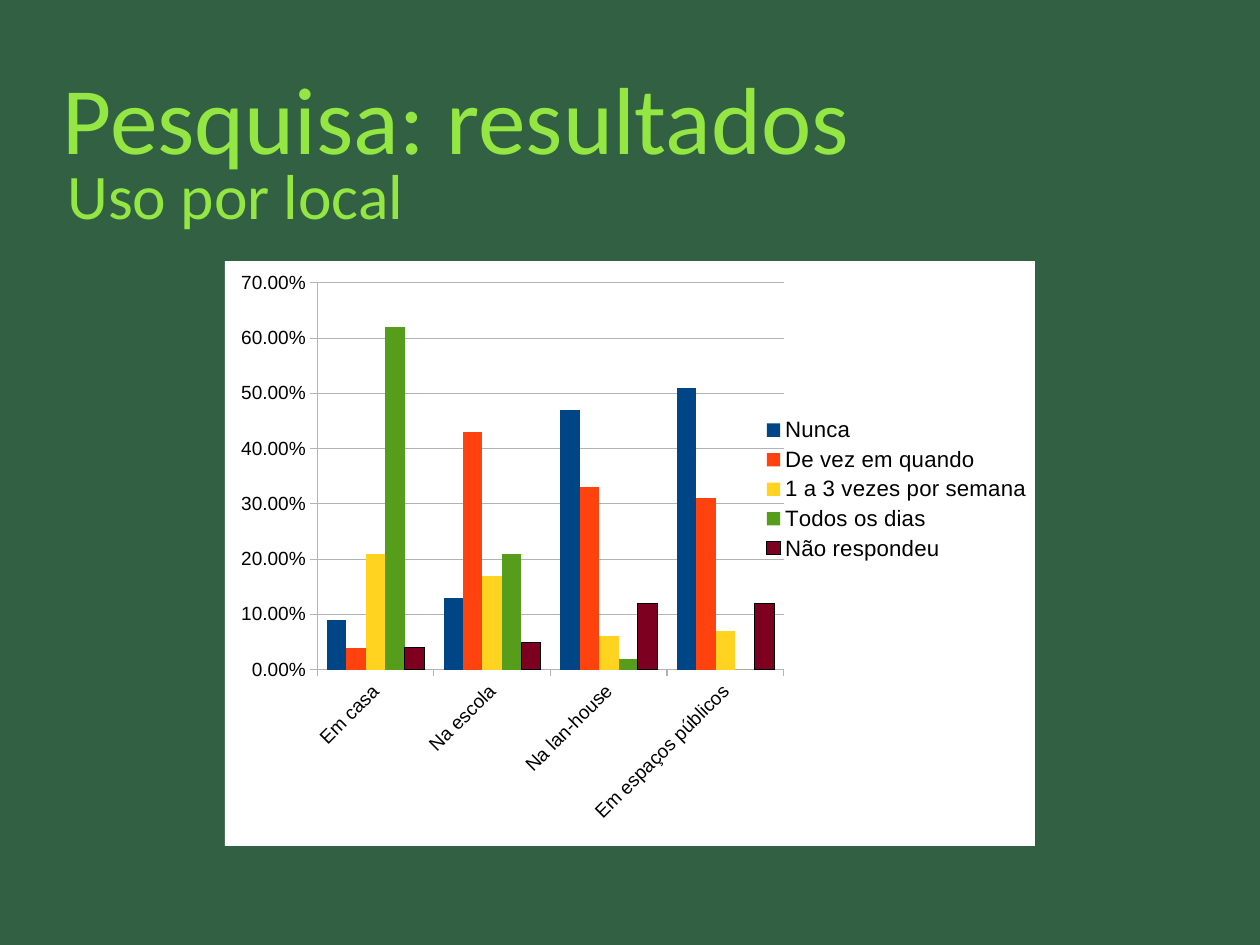
from pptx import Presentation
from pptx import util as u
from pptx.chart.data import CategoryChartData
from pptx.dml.color import RGBColor
from pptx.enum import chart as ch, text
from pptx.oxml import parse_xml
from pptx.oxml.ns import nsdecls, qn

GREEN = RGBColor(0x31, 0x61, 0x42)
LIME = RGBColor(0x94, 0xE7, 0x42)
BLACK = RGBColor(0, 0, 0)
WHITE = RGBColor(0xFF, 0xFF, 0xFF)
GRAY = RGBColor(0xB3, 0xB3, 0xB3)
BLUE = RGBColor(0x00, 0x45, 0x86)
ORANGE = RGBColor(0xFF, 0x42, 0x0E)
YELLOW = RGBColor(0xFF, 0xD3, 0x20)
LEAF = RGBColor(0x57, 0x9D, 0x1C)
WINE = RGBColor(0x7E, 0x00, 0x21)

PLACES = ["Em casa", "Na escola", "Na lan-house", "Em espaços públicos"]
ANSWERS = [
    ("Nunca", (0.09, 0.13, 0.47, 0.51), BLUE),
    ("De vez em quando", (0.04, 0.43, 0.33, 0.31), ORANGE),
    ("1 a 3 vezes por semana", (0.21, 0.17, 0.06, 0.07), YELLOW),
    ("Todos os dias", (0.62, 0.21, 0.02, 0), LEAF),
    ("Não respondeu", (0.04, 0.05, 0.12, 0.12), WINE),
]


class Deck:
    """Holds the style and the current slide, and adds its elements."""

    title_font = "Calibri"
    chart_font = "Arial"

    def __init__(self, prs):
        self.s = prs.slides.add_slide(prs.slide_layouts[6])
        fill = self.s.background.fill
        fill.solid()
        fill.fore_color.rgb = GREEN

    def title(self, words, box, size):
        tf = self.s.shapes.add_textbox(*map(u.Cm, box)).text_frame
        tf.word_wrap = True
        tf.vertical_anchor = text.MSO_ANCHOR.MIDDLE
        tf.margin_left = tf.margin_right = tf.margin_top = tf.margin_bottom = 0
        r = tf.paragraphs[0].add_run()
        r.text = words
        self.font(r.font, self.title_font, size, LIME)

    def font(self, font, name, size, color):
        font.name, font.size, font.color.rgb = name, u.Pt(size), color

    def line(self, line, color):
        line.color.rgb = color
        line.width = u.Pt(0)

    def axis(self, axis):
        axis.major_tick_mark = ch.XL_TICK_MARK.OUTSIDE
        axis.minor_tick_mark = ch.XL_TICK_MARK.NONE
        self.font(axis.tick_labels.font, self.chart_font, 12, BLACK)
        self.line(axis.format.line, GRAY)

    def columns(self, cats, series, box):
        data = CategoryChartData(number_format="0.00%")
        data.categories = cats
        for name, values, _ in series:
            data.add_series(name, values)
        chart = self.s.shapes.add_chart(
            ch.XL_CHART_TYPE.COLUMN_CLUSTERED, *map(u.Cm, box), data).chart
        self.font(chart.font, self.chart_font, 10, BLACK)
        chart.has_title = False
        plot = chart.plots[0]
        plot.gap_width, plot.overlap, plot.vary_by_categories = 100, 0, False
        for ser, (_, _, color) in zip(plot.series, series):
            ser.format.fill.solid()
            ser.format.fill.fore_color.rgb = color
        self.line(plot.series[-1].format.line, BLACK)

        cat, val = chart.category_axis, chart.value_axis
        self.axis(cat)
        self.axis(val)
        cat.tick_label_position = ch.XL_TICK_LABEL_POSITION.LOW
        cat._element.find(qn("c:txPr")).find(qn("a:bodyPr")).set("rot", "-2700000")
        val.minimum_scale, val.maximum_scale, val.major_unit = 0, 0.7, 0.1
        val.tick_labels.number_format = "0.00%"
        val.tick_labels.number_format_is_linked = False
        val.has_major_gridlines = True
        self.line(val.major_gridlines.format.line, GRAY)

        chart.has_legend = True
        chart.legend.position = ch.XL_LEGEND_POSITION.RIGHT
        chart.legend.include_in_layout = False
        self.font(chart.legend.font, self.chart_font, 14, BLACK)
        self.backdrop(chart, WHITE)
        area = chart._chartSpace.find(qn("c:chart")).find(qn("c:plotArea"))
        self.place(area, 0, (0.02, 0.02, 0.67, 0.94), '<c:layoutTarget val="outer"/>')
        self.place(chart.legend._element, 1, (0.66, 0.26))

    def backdrop(self, chart, color):
        chart._chartSpace.find(qn("c:chart")).addnext(parse_xml(
            f'<c:spPr {nsdecls("c", "a")}><a:solidFill><a:srgbClr val="{color}"/>'
            '</a:solidFill><a:ln><a:noFill/></a:ln></c:spPr>'))

    def place(self, part, index, box, target=""):
        for old in part.findall(qn("c:layout")):
            part.remove(old)
        modes = '<c:xMode val="edge"/><c:yMode val="edge"/>'
        sizes = "".join(f'<c:{k} val="{v}"/>' for k, v in zip("xywh", box))
        part.insert(index, parse_xml(
            f'<c:layout {nsdecls("c")}><c:manualLayout>{target}'
            f'{modes}{sizes}</c:manualLayout></c:layout>'))


def main():
    prs = Presentation()
    prs.slide_width, prs.slide_height = u.Cm(28), u.Cm(21)
    deck = Deck(prs)
    deck.title("Pesquisa: resultados", (1.4, 0.84, 25.2, 3.5), 60)
    deck.title("Uso por local", (1.5, 3, 25.2, 2.64), 40)
    deck.columns(PLACES, ANSWERS, (5, 5.8, 18, 13))
    prs.save("out.pptx")


if __name__ == "__main__":
    main()
